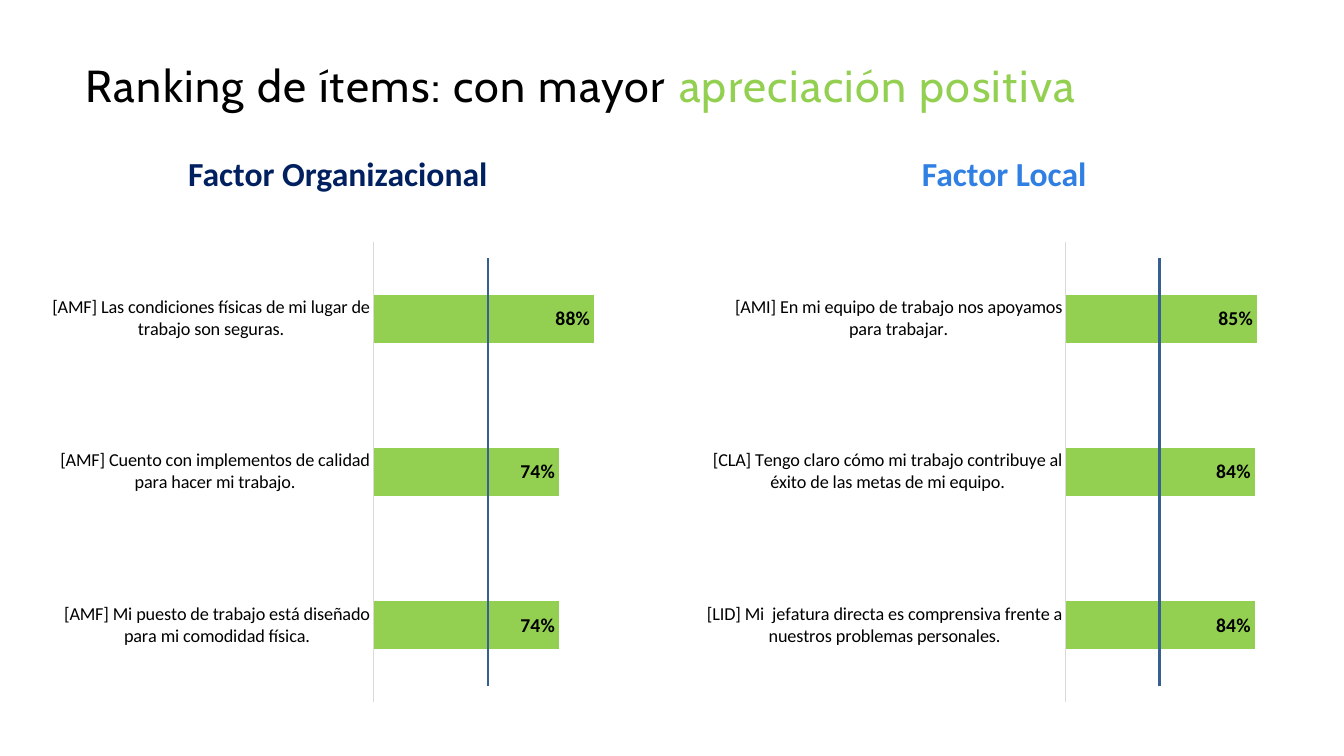
from dataclasses import dataclass

from lxml import etree
from pptx import Presentation
from pptx.chart.data import CategoryChartData
from pptx.dml.color import RGBColor
from pptx.enum.chart import XL_CHART_TYPE, XL_LABEL_POSITION, XL_TICK_MARK
from pptx.enum.shapes import MSO_CONNECTOR
from pptx.enum.text import MSO_ANCHOR, PP_ALIGN
from pptx.oxml.ns import qn
from pptx.slide import Slide
from pptx.text.text import Font
from pptx.util import Inches, Pt

BAR = XL_CHART_TYPE.BAR_CLUSTERED
INSIDE = XL_LABEL_POSITION.INSIDE_END
NO_TICK = XL_TICK_MARK.NONE
STRAIGHT = MSO_CONNECTOR.STRAIGHT
MIDDLE = MSO_ANCHOR.MIDDLE
LEFT, CENTER = PP_ALIGN.LEFT, PP_ALIGN.CENTER

BLACK = RGBColor(0, 0, 0)
WHITE = RGBColor(255, 255, 255)
GREEN = RGBColor(0x93, 0xD0, 0x51)
NAVY = RGBColor(0x00, 0x20, 0x60)
BLUE = RGBColor(0x30, 0x7F, 0xE2)
STEEL = RGBColor(0x37, 0x60, 0x92)
GREY = RGBColor(0xD9, 0xD9, 0xD9)

WIDE, HIGH = Inches(13.33), Inches(7.5)


@dataclass
class Factor:
    """One half of the slide; lengths are percentages of its width."""
    name: str
    color: RGBColor
    head: float
    chart: float
    mark: float
    items: dict[str, float]


FACTORS = [
    Factor("Factor Organizacional", NAVY, 6.23, 3, 36.31, {
        "[AMF] Mi puesto de trabajo está diseñado para mi comodidad física.": 0.74,
        "[AMF] Cuento con implementos de calidad para hacer mi trabajo.": 0.74,
        "[AMF] Las condiciones físicas de mi lugar de trabajo son seguras.": 0.88,
    }),
    Factor("Factor Local", BLUE, 55.81, 52.59, 86.27, {
        "[LID] Mi  jefatura directa es comprensiva frente a nuestros problemas personales.": 0.84,
        "[CLA] Tengo claro cómo mi trabajo contribuye al éxito de las metas de mi equipo.": 0.84,
        "[AMI] En mi equipo de trabajo nos apoyamos para trabajar.": 0.85,
    }),
]


def across(share: float) -> int:
    return round(WIDE * share / 100)


def down(share: float) -> int:
    return round(HIGH * share / 100)


def box(x: float, y: float, w: float, h: float) -> tuple[int, int, int, int]:
    return across(x), down(y), across(w), down(h)


def style(font: Font, size: float, color: RGBColor,
          bold: bool = False, face: str = "Calibri") -> None:
    font.name, font.size, font.bold = face, Pt(size), bold
    font.color.rgb = color


def add_title(slide: Slide) -> None:
    title = slide.shapes.title
    title.left, title.top, title.width, title.height = box(6.38, 4.53, 88.37, 14.13)
    frame = title.text_frame
    frame.margin_left = frame.margin_right = 0
    frame.margin_top = frame.margin_bottom = 0
    frame.vertical_anchor, frame.word_wrap = MIDDLE, True
    line = frame.paragraphs[0]
    line.alignment, line.line_spacing = LEFT, 0.9
    for text, color in (("Ranking de ítems: con mayor ", BLACK),
                        ("apreciación positiva", GREEN)):
        run = line.add_run()
        run.text = text
        style(run.font, 32, color, face="Cabin")
        run._r.get_or_add_rPr().set("spc", "100")


def add_head(slide: Slide, factor: Factor) -> None:
    frame = slide.shapes.add_textbox(*box(factor.head, 21.07, 37.81, 4.4)).text_frame
    frame.word_wrap, frame.vertical_anchor = True, MIDDLE
    frame.text = factor.name
    line = frame.paragraphs[0]
    line.alignment, line.line_spacing = CENTER, 0.9
    style(line.runs[0].font, 24, factor.color, bold=True)


def add_bars(slide: Slide, factor: Factor) -> None:
    data = CategoryChartData(number_format="0%")
    data.categories = list(factor.items)
    data.add_series("Series 1", list(factor.items.values()))
    chart = slide.shapes.add_chart(BAR, *box(factor.chart, 30.8, 44.34, 63.33), data).chart
    chart.has_legend = chart.has_title = False
    style(chart.font, 10, WHITE)

    names = chart.category_axis
    names.major_tick_mark = names.minor_tick_mark = NO_TICK
    names.format.line.color.rgb = GREY
    names.format.line.width = Pt(0.75)
    style(names.tick_labels.font, 13, BLACK)

    scale = chart.value_axis
    scale.minimum_scale, scale.maximum_scale = 0, 1
    scale.has_major_gridlines = scale.visible = False

    plot = chart.plots[0]
    plot.gap_width, plot.vary_by_categories = 219, False
    bars = plot.series[0]
    bars.format.fill.solid()
    bars.format.fill.fore_color.rgb = GREEN
    labels = bars.data_labels
    labels.show_value, labels.position = True, INSIDE
    labels.number_format, labels.number_format_is_linked = "0%", False
    style(labels.font, 14, BLACK, bold=True)


def add_mark(slide: Slide, factor: Factor) -> None:
    x = across(factor.mark)
    mark = slide.shapes.add_connector(STRAIGHT, x, down(90.8), x, down(34.13))
    mark.line.color.rgb, mark.line.width = STEEL, Pt(2)
    etree.SubElement(mark._element.spPr, qn("a:effectLst"))


def main() -> None:
    deck = Presentation()
    deck.slide_width, deck.slide_height = WIDE, HIGH
    slide = deck.slides.add_slide(deck.slide_layouts[5])
    add_title(slide)
    for factor in FACTORS:
        add_head(slide, factor)
        add_bars(slide, factor)
        add_mark(slide, factor)
    deck.save("out.pptx")


if __name__ == "__main__":
    main()
